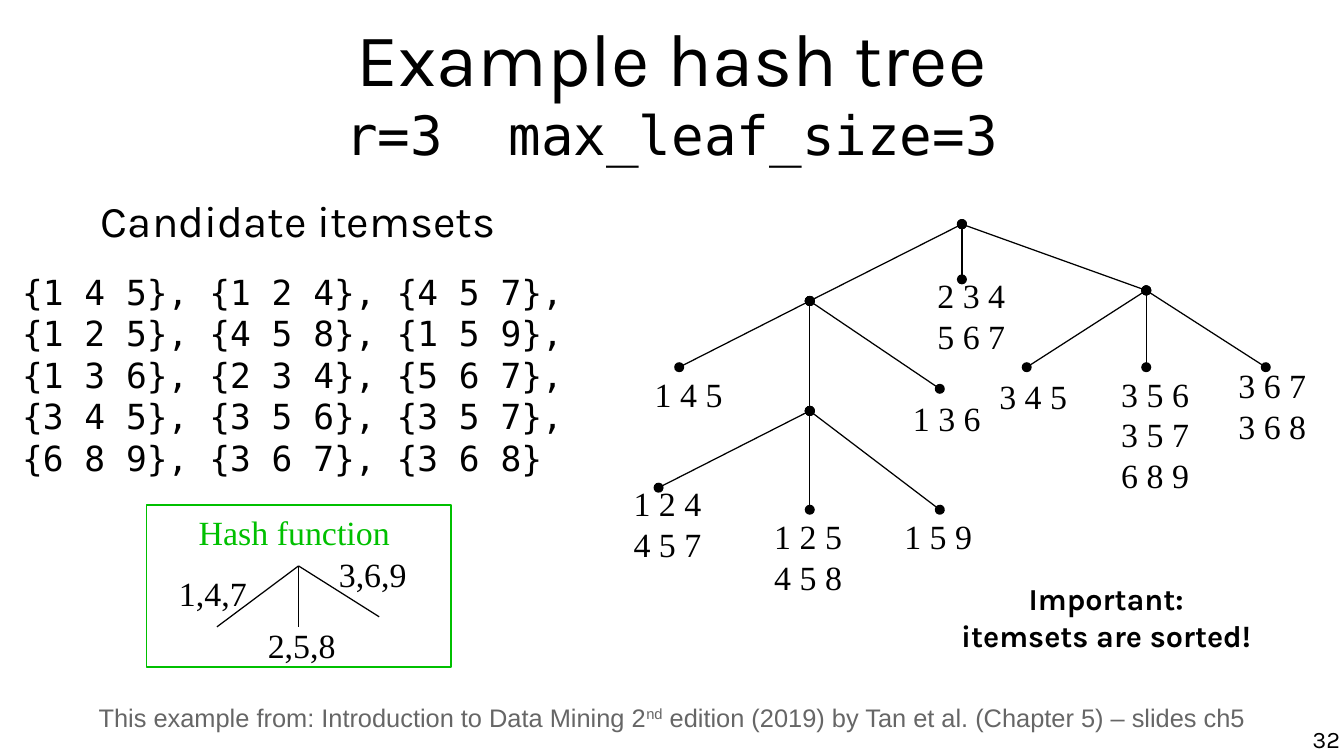
from copy import deepcopy

from lxml.etree import SubElement
from pptx import Presentation
from pptx.dml.color import RGBColor
from pptx.enum.shapes import MSO_CONNECTOR, MSO_SHAPE
from pptx.enum.text import MSO_ANCHOR, MSO_AUTO_SIZE, PP_ALIGN
from pptx.oxml.ns import qn
from pptx.util import Cm, Pt

COLORS = {"ink": "000000", "hash": "00C000", "source": "666666"}
SANS, MONO, SERIF = "Karla", "DejaVu Sans Mono", "Times New Roman"
LINE_WIDTH = Pt(0.74)

CANDIDATES = [
    "1 4 5", "1 2 4", "4 5 7",
    "1 2 5", "4 5 8", "1 5 9",
    "1 3 6", "2 3 4", "5 6 7",
    "3 4 5", "3 5 6", "3 5 7",
    "6 8 9", "3 6 7", "3 6 8",
]
PER_ROW = 3

# Branches taken from the root -> node centre in cm; the parent is the path without its last branch
NODES = {
    "": (20.04, 4.67),
    "1": (16.87, 6.27), "2": (20.04, 5.82), "3": (23.88, 6.05),
    "11": (14.15, 7.65), "12": (16.87, 8.56), "13": (19.58, 8.1),
    "121": (13.72, 10.16), "122": (16.87, 10.62), "123": (19.58, 10.62),
    "31": (21.39, 7.65), "32": (23.88, 7.65), "33": (26.37, 7.65),
}
# Left and top of the label in cm, itemsets in the leaf
LEAVES = [
    (19.28, 5.59, ["2 3 4", "5 6 7"]),
    (13.39, 7.65, ["1 4 5"]),
    (18.77, 8.15, ["1 3 6"]),
    (12.95, 9.93, ["1 2 4", "4 5 7"]),
    (15.88, 10.62, ["1 2 5", "4 5 8"]),
    (18.59, 10.62, ["1 5 9"]),
    (20.57, 7.7, ["3 4 5"]),
    (23.11, 7.65, ["3 5 6", "3 5 7", "6 8 9"]),
    (25.55, 7.47, ["3 6 7", "3 6 8"]),
]
HASH_BOX = (3.05, 10.52, 6.35, 3.38)
HASH_TOP = (6.22, 11.79)
# Branch end, label left and top, label
HASH_BRANCHES = [
    ((4.52, 13.06), (3.48, 11.79), "1,4,7"),
    ((6.22, 13.06), (5.33, 12.88), "2,5,8"),
    ((7.9, 12.85), (6.81, 11.4), "3,6,9"),
]


def write(p, text, font=SANS, size=20, color="ink", bold=False, base=None):
    """Add formatted text to a paragraph; a newline becomes a line break."""
    for i, line in enumerate(text.split("\n")):
        if i:
            br = SubElement(p._p, qn("a:br"))
            br.append(deepcopy(r._r.rPr))
        r = p.add_run()
        r.text = line
        r.font.name, r.font.size, r.font.bold = font, Pt(size), bold
        r.font.color.rgb = RGBColor.from_string(COLORS[color])
        if base:
            r._r.rPr.set("baseline", str(base * 1000))


def place(sp, left, top, width, height):
    """Move and size a shape, in cm."""
    sp.left, sp.top, sp.width, sp.height = map(Cm, (left, top, width, height))


def set_frame(tf, margins=(0.25, 0.13), wrap=True, anchor=MSO_ANCHOR.TOP):
    """Set margins, wrapping and anchor of a text frame."""
    tf.margin_left = tf.margin_right = Cm(margins[0])
    tf.margin_top = tf.margin_bottom = Cm(margins[1])
    tf.auto_size, tf.word_wrap, tf.vertical_anchor = MSO_AUTO_SIZE.NONE, wrap, anchor


def add_text(shapes, box, paragraphs, align=PP_ALIGN.LEFT, margins=(0.25, 0.13), wrap=True, **fmt):
    """Add a text box with one paragraph per string and return its paragraphs."""
    tf = shapes.add_textbox(*map(Cm, box)).text_frame
    set_frame(tf, margins, wrap)
    for i, text in enumerate(paragraphs):
        p = tf.add_paragraph() if i else tf.paragraphs[0]
        p.alignment = align
        write(p, text, **fmt)
    return tf.paragraphs


def add_label(shapes, left, top, lines, width=1.91, color="ink"):
    """Add a serif label that is as high as its lines."""
    add_text(shapes, (left, top, width, 0.25 + 0.85 * len(lines)), lines,
             wrap=False, font=SERIF, color=color)


def add_line(shapes, start, end, dots=False):
    """Draw a thin line, with a dot at both ends if asked."""
    c = shapes.add_connector(MSO_CONNECTOR.STRAIGHT, *map(Cm, start + end))
    c.line.width = LINE_WIDTH
    c.line.color.rgb = RGBColor.from_string(COLORS["ink"])
    if dots:
        for tag in ("a:headEnd", "a:tailEnd"):
            SubElement(c.line._get_or_add_ln(), qn(tag), type="oval")
    SubElement(c._element.spPr, qn("a:effectLst"))


def fill_placeholders(s):
    """Fill the title and the list of candidate itemsets."""
    title, body = s.placeholders
    place(title, 1.4, 0.15, 25.2, 3.43)
    set_frame(title.text_frame, (0, 0), anchor=MSO_ANCHOR.MIDDLE)
    p = title.text_frame.paragraphs[0]
    p.alignment = PP_ALIGN.CENTER
    write(p, "Example hash tree\n", size=44)
    write(p, "r=3  max_leaf_size=3", font=MONO, size=32)

    place(body, 0.46, 4.04, 11.51, 7.06)
    tf = body.text_frame
    set_frame(tf, (0, 0))
    heading, itemsets = tf.paragraphs[0], tf.add_paragraph()
    for p in (heading, itemsets):
        p.space_before = Pt(14.2)
        pPr = p._p.get_or_add_pPr()
        pPr.set("marL", "0")
        pPr.set("indent", "0")
        SubElement(pPr, qn("a:buNone"))
    heading.alignment, itemsets.alignment = PP_ALIGN.CENTER, PP_ALIGN.LEFT
    write(heading, "Candidate itemsets", size=25.9)
    sets = ["{%s}" % c for c in CANDIDATES]
    rows = [", ".join(sets[i:i + PER_ROW]) for i in range(0, len(sets), PER_ROW)]
    write(itemsets, ",\n".join(rows), font=MONO, size=20.4)


def draw_tree(shapes):
    """Draw the hash tree with its leaves."""
    for branch, node in NODES.items():
        if branch:
            add_line(shapes, NODES[branch[:-1]], node, dots=True)
    for leaf in LEAVES:
        add_label(shapes, *leaf)


def draw_hash_function(shapes):
    """Draw the framed hash function."""
    frame = shapes.add_shape(MSO_SHAPE.RECTANGLE, *map(Cm, HASH_BOX))
    frame.shadow.inherit = False
    frame.fill.background()
    frame.line.width = LINE_WIDTH
    frame.line.color.rgb = RGBColor.from_string(COLORS["hash"])
    add_label(shapes, 3.89, 10.52, ["Hash function"], width=4.5, color="hash")
    for end, corner, label in HASH_BRANCHES:
        add_line(shapes, HASH_TOP, end)
        add_label(shapes, *corner, [label])


prs = Presentation()
prs.slide_width, prs.slide_height = Cm(28), Cm(15.75)
s = prs.slides.add_slide(prs.slide_layouts[1])
fill_placeholders(s)
draw_tree(s.shapes.add_group_shape().shapes)
draw_hash_function(s.shapes.add_group_shape().shapes)

source = dict(font="Arial", size=15, color="source")
p = add_text(s.shapes, (0.13, 14.5, 27.74, 0.99),
             ["This example from: Introduction to Data Mining 2"], PP_ALIGN.CENTER, **source)[0]
write(p, "nd", base=33, **source)
write(p, " edition (2019) by Tan et al. (Chapter 5) – slides ch5", **source)
add_text(s.shapes, (18.42, 11.96, 9.25, 1.78), ["Important:\nitemsets are sorted!"],
         PP_ALIGN.CENTER, size=18, bold=True)
add_text(s.shapes, (21.39, 15.11, 6.53, 0.64), ["32"], PP_ALIGN.RIGHT, (0, 0), size=14)
prs.save("out.pptx")
